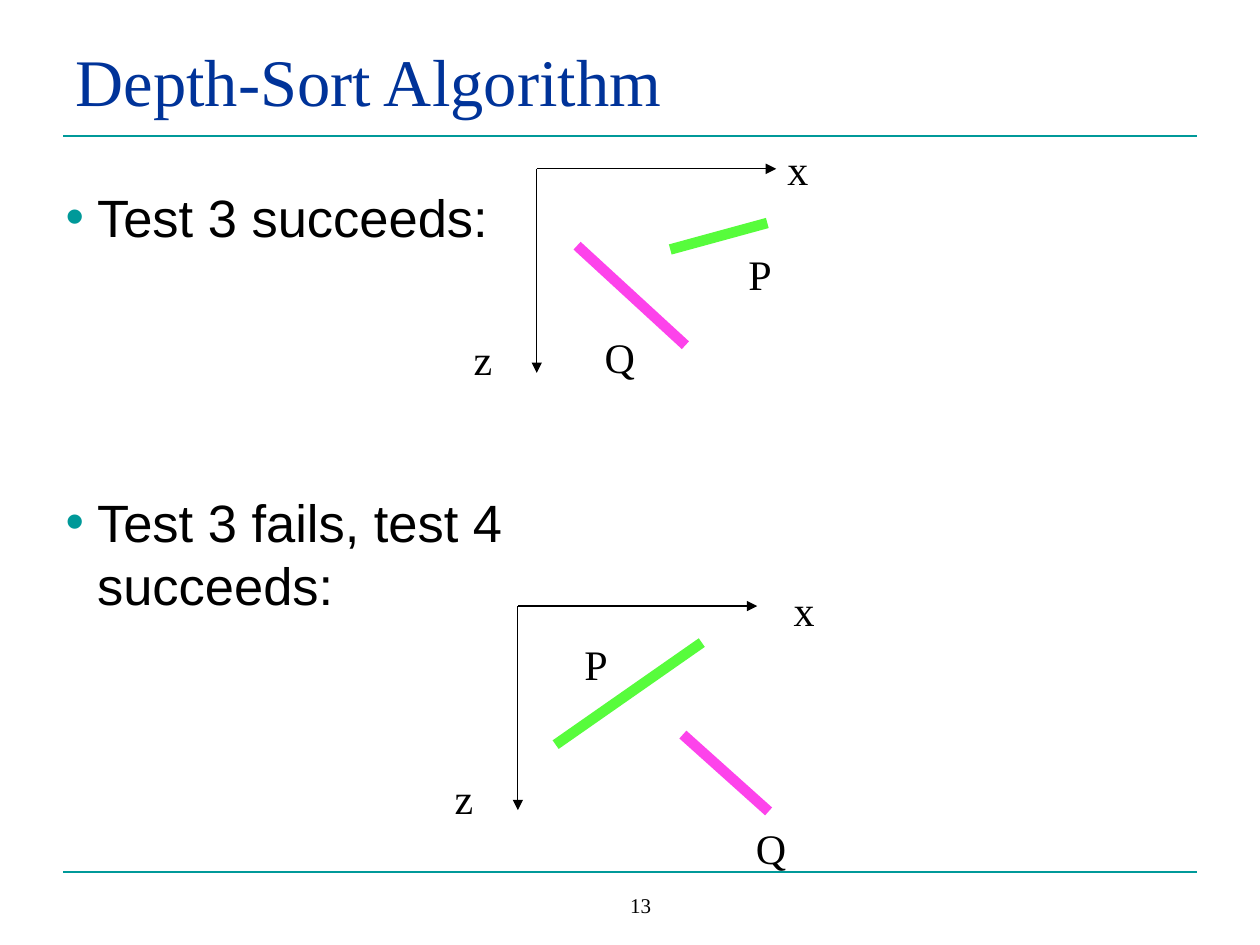
import pptx
import pptx.dml.color
import pptx.enum.shapes
import pptx.enum.text
import pptx.oxml.ns
import pptx.util
from dataclasses import dataclass
from lxml import etree
from pptx.util import Inches, Pt

ALIGN = pptx.enum.text.PP_ALIGN
ANCHOR = pptx.enum.text.MSO_ANCHOR


@dataclass(frozen=True)
class Theme:
    serif: str = "Times New Roman"
    sans: str = "Arial"
    title: str = "003399"
    accent: str = "009999"
    ink: str = "000000"
    p_color: str = "57FC3C"
    q_color: str = "FD43EB"
    title_size: float = 38
    body_size: float = 30
    label_size: float = 24
    number_size: float = 12
    axis_width: float = 0.75
    rule_width: float = 1
    polygon_width: float = 6


THEME = Theme()
AXIS_LENGTHS = {"x": 1.9, "z": 1.62}

DIAGRAMS = [
    {
        "origin": (4.26, 1.34),
        "polygons": [((4.58, 1.95), (5.44, 2.74), THEME.q_color),
                     ((5.32, 1.98), (6.09, 1.77), THEME.p_color)],
        "labels": [("z", 3.66, 2.6, 0.35), ("Q", 4.7, 2.58, 0.44),
                   ("P", 5.84, 1.92, 0.38), ("x", 6.15, 1.09, 0.36)],
    },
    {
        "origin": (4.11, 4.81),
        "polygons": [((5.42, 5.83), (6.1, 6.44), THEME.q_color),
                     ((4.41, 5.91), (5.57, 5.1), THEME.p_color)],
        "labels": [("z", 3.51, 6.08, 0.35), ("Q", 5.9, 6.48, 0.44),
                   ("P", 4.54, 5.02, 0.38), ("x", 6.2, 4.59, 0.36)],
    },
]


def apply(target, values):
    for name, value in values.items():
        setattr(target, name, value)


def add_xml(parent, tag, **attributes):
    return etree.SubElement(parent, pptx.oxml.ns.qn(tag), attributes)


def place(shape, left, top, width, height):
    apply(shape, {"left": Inches(left), "top": Inches(top),
                  "width": Inches(width), "height": Inches(height)})


def write(para, text, font, size, color):
    span = para.add_run()
    span.text = text
    apply(span.font, {"name": font, "size": Pt(size)})
    span.font.color.rgb = pptx.dml.color.RGBColor.from_string(color)


def add_title(slide, text):
    title = slide.shapes.title
    place(title, 0.5, 0.3, 9, 0.7)
    apply(title.text_frame, {"vertical_anchor": ANCHOR.BOTTOM,
                             "auto_size": pptx.enum.text.MSO_AUTO_SIZE.NONE})
    para = title.text_frame.paragraphs[0]
    para.alignment = ALIGN.LEFT
    write(para, text, THEME.serif, THEME.title_size, THEME.title)


def add_bullets(slide, items):
    """Fill the body with (text, points of space before) items."""
    body = slide.placeholders[1]
    place(body, 0.42, 1.42, 4.84, 5.29)
    frame = body.text_frame
    apply(frame, {"vertical_anchor": ANCHOR.TOP,
                  "auto_size": pptx.enum.text.MSO_AUTO_SIZE.NONE})
    for index, (text, space) in enumerate(items):
        para = frame.add_paragraph() if index else frame.paragraphs[0]
        apply(para, {"space_before": Pt(space), "line_spacing": Pt(36)})
        write(para, text, THEME.sans, THEME.body_size, THEME.ink)
        properties = para._p.get_or_add_pPr()
        properties.set("marL", str(Inches(0.25)))
        properties.set("indent", str(Inches(-0.25)))
        bullet_color = add_xml(properties, "a:buClr")
        add_xml(bullet_color, "a:srgbClr", val=THEME.accent)
        add_xml(properties, "a:buChar", char="•")


def add_line(slide, start, end, color, width, arrow=False):
    line = slide.shapes.add_connector(
        pptx.enum.shapes.MSO_CONNECTOR.STRAIGHT,
        *(Inches(value) for value in (*start, *end)))
    line.line.width = Pt(width)
    line.line.color.rgb = pptx.dml.color.RGBColor.from_string(color)
    if arrow:
        add_xml(line.line._get_or_add_ln(), "a:tailEnd", type="triangle")
    add_xml(line._element.spPr, "a:effectLst")


def add_label(slide, text, box, size, wrap=False, align=ALIGN.LEFT, anchor=ANCHOR.TOP):
    label = slide.shapes.add_textbox(*(Inches(value) for value in box))
    apply(label.text_frame, {"word_wrap": wrap, "vertical_anchor": anchor})
    para = label.text_frame.paragraphs[0]
    para.alignment = align
    write(para, text, THEME.serif, size, THEME.ink)


def add_diagram(slide, origin, polygons, labels):
    """Draw the x and z axes from the origin, the polygons edge-on and the labels."""
    x, z = origin
    for end in ((x, z + AXIS_LENGTHS["z"]), (x + AXIS_LENGTHS["x"], z)):
        add_line(slide, origin, end, THEME.ink, THEME.axis_width, arrow=True)
    for start, end, color in polygons:
        add_line(slide, start, end, color, THEME.polygon_width)
    for text, left, top, width in labels:
        add_label(slide, text, (left, top, width, 0.5), THEME.label_size)


def main():
    deck = pptx.Presentation()
    apply(deck, {"slide_width": Inches(10), "slide_height": Inches(7.5)})
    slide = deck.slides.add_slide(deck.slide_layouts[1])
    for height in (1.08, 6.92):
        add_line(slide, (0.5, height), (9.5, height), THEME.accent, THEME.rule_width)
    add_title(slide, "Depth-Sort Algorithm")
    add_bullets(slide, [("Test 3 succeeds:", 7.5),
                        ("Test 3 fails, test 4 succeeds:", 138)])
    for diagram in DIAGRAMS:
        add_diagram(slide, **diagram)
    add_label(slide, "13", (3.92, 7, 2.33, 0.33), THEME.number_size,
              wrap=True, align=ALIGN.CENTER, anchor=ANCHOR.BOTTOM)
    deck.save("out.pptx")


if __name__ == "__main__":
    main()
